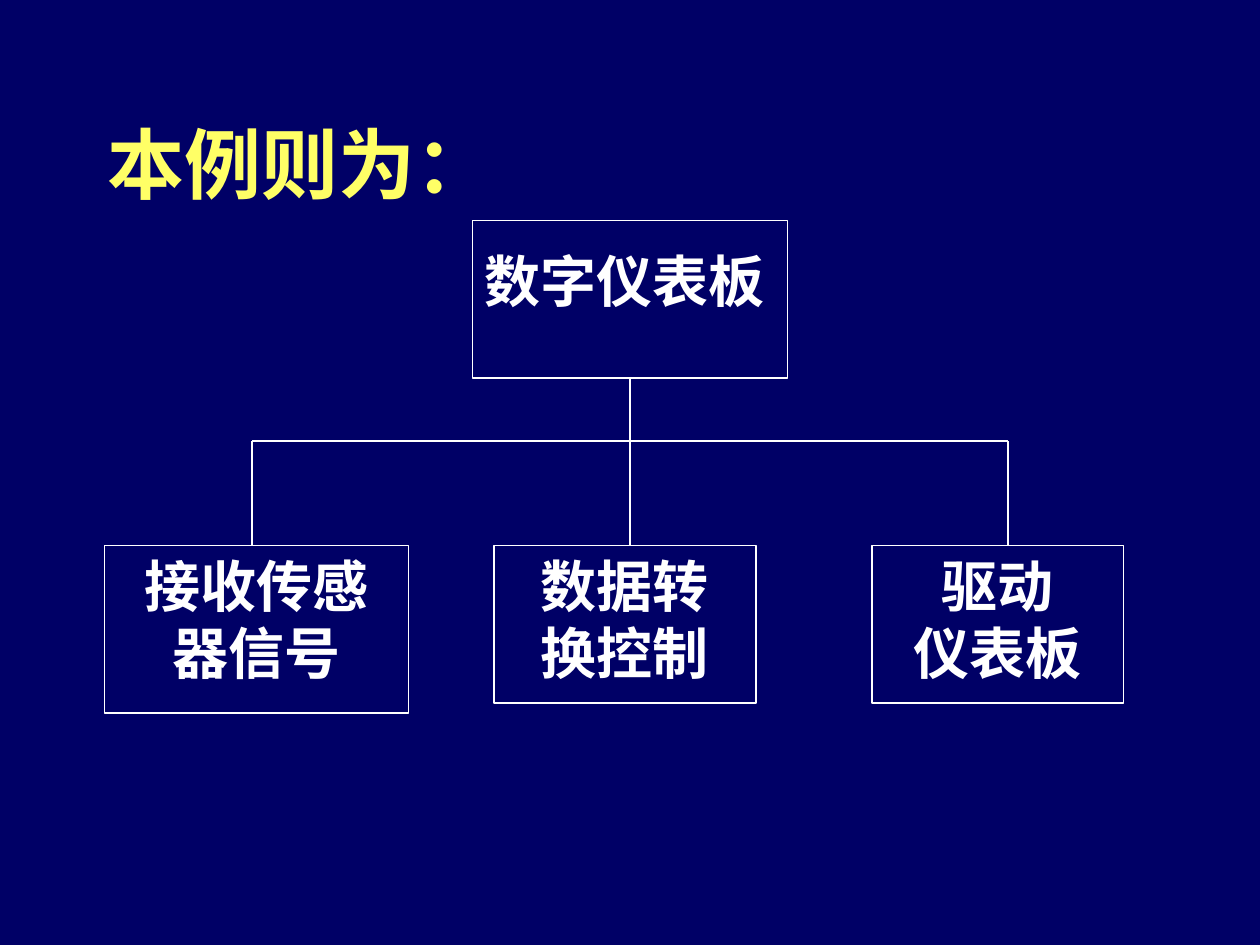
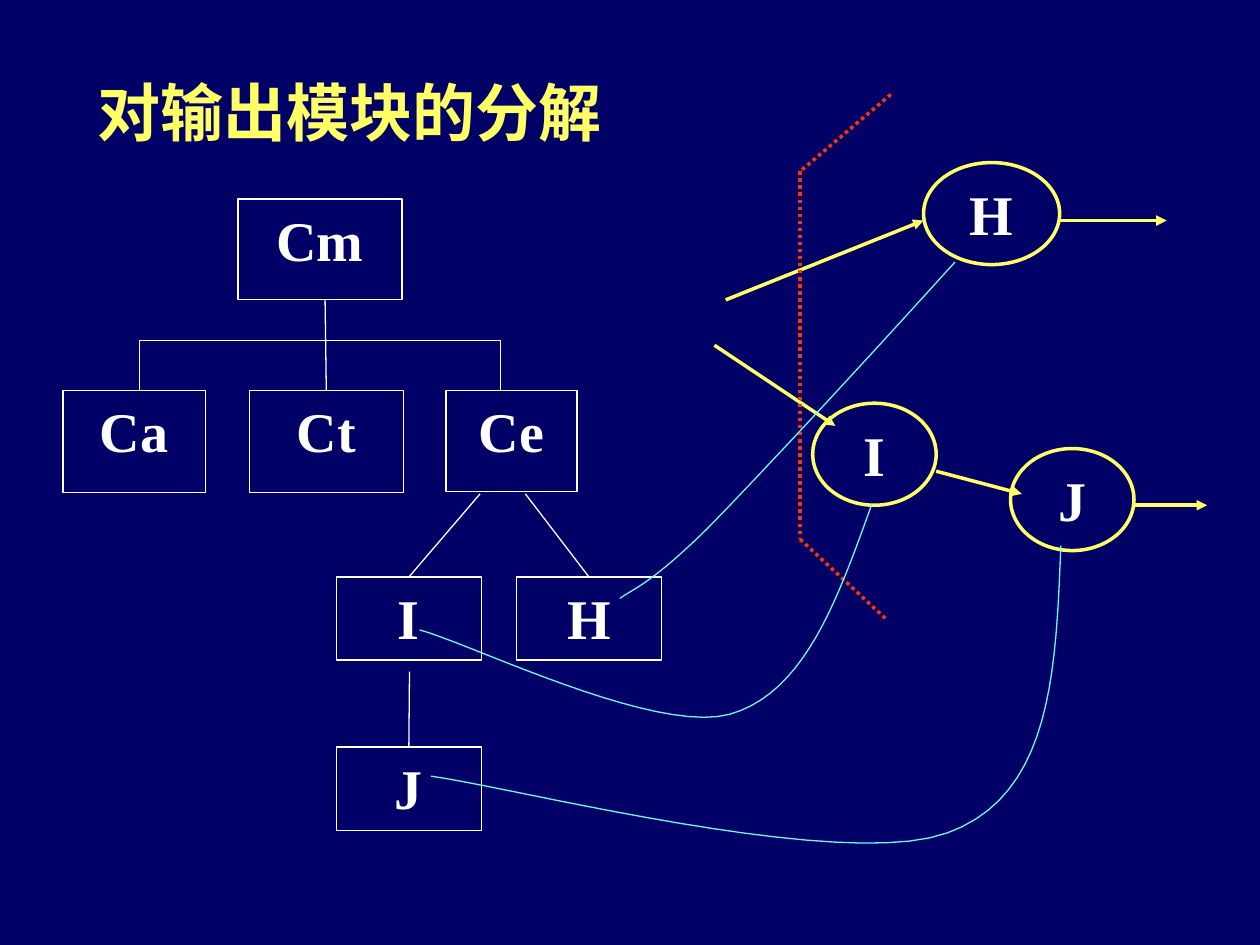
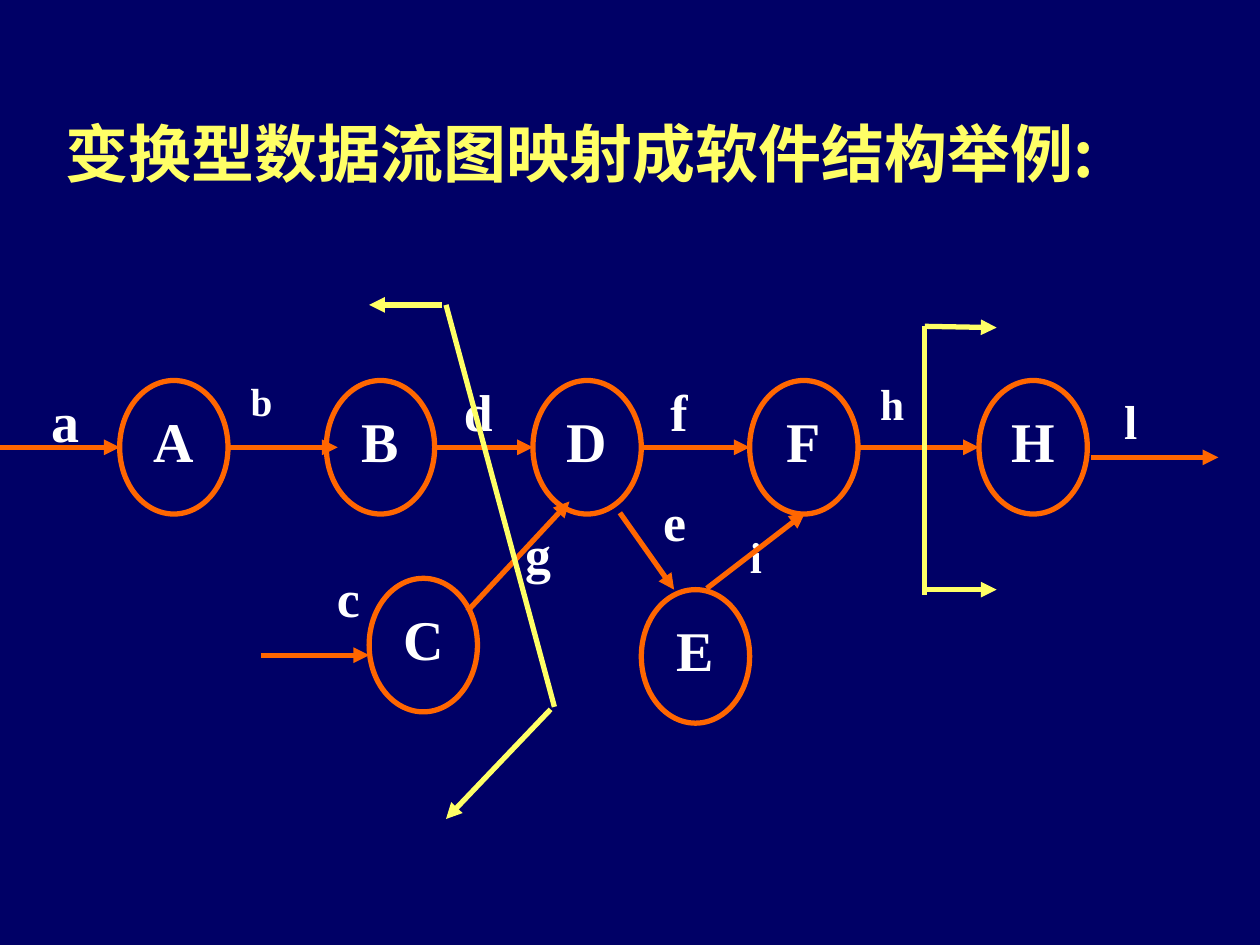
from itertools import pairwise

from lxml import etree
from pptx import Presentation
from pptx.dml.color import RGBColor
from pptx.enum.dml import MSO_LINE
from pptx.enum.shapes import MSO_CONNECTOR, MSO_SHAPE
from pptx.enum.text import MSO_ANCHOR, MSO_AUTO_SIZE, PP_ALIGN
from pptx.oxml.ns import qn
from pptx.util import Emu, Pt

PX = 9144
NAVY = RGBColor(0x00, 0x00, 0x66)
WHITE = RGBColor(0xFF, 0xFF, 0xFF)
YELLOW = RGBColor(0xFF, 0xFF, 0x66)
ORANGE = RGBColor(0xFF, 0x66, 0x00)
RED = RGBColor(0xFF, 0x33, 0x00)
CYAN = RGBColor(0x66, 0xFF, 0xFF)
LATIN = "Times New Roman"
CHINESE = "Noto Sans CJK SC"
RECTANGLE, OVAL = MSO_SHAPE.RECTANGLE, MSO_SHAPE.OVAL
STRAIGHT = MSO_CONNECTOR.STRAIGHT
DOTTED = MSO_LINE.ROUND_DOT
TOP, MIDDLE = MSO_ANCHOR.TOP, MSO_ANCHOR.MIDDLE
LEFT, CENTER, JUSTIFY = PP_ALIGN.LEFT, PP_ALIGN.CENTER, PP_ALIGN.JUSTIFY
NO_AUTOFIT = MSO_AUTO_SIZE.NONE
TOP_SITE, BOTTOM_SITE = 0, 2
CURVE_STEPS = 20


def px(value):
    return Emu(round(value * PX))


def shift(origin, point):
    return origin[0] + point[0], origin[1] + point[1]


def place(origin, area):
    left, top = shift(origin, area[:2])
    return [px(value) for value in (left, top, *area[2:])]


def write(para, text, size, color=WHITE, face=LATIN, align=CENTER, spacing=None):
    para.alignment = align
    if spacing:
        para.line_spacing = spacing
    span = para.add_run()
    span.text = text
    span.font.size = Pt(size)
    span.font.bold = True
    span.font.name = face
    span.font.color.rgb = color
    etree.SubElement(span.font._element, qn("a:ea"), typeface=CHINESE)


def add_page(deck, title, area, size):
    page = deck.slides.add_slide(deck.slide_layouts[5])
    box = page.shapes.title
    box.left, box.top, box.width, box.height = place((0, 0), area)
    frame = box.text_frame
    frame.auto_size = NO_AUTOFIT
    frame.vertical_anchor = MIDDLE
    write(frame.paragraphs[0], title, size, YELLOW, CHINESE, LEFT)
    return page


def add_node(page, origin, area, text, kind=RECTANGLE, color=WHITE, width=0.75,
             align=CENTER, top_inset=5):
    box = page.shapes.add_shape(kind, *place(origin, area))
    box.shadow.inherit = False
    box.fill.background()
    box.line.color.rgb = color
    box.line.width = Pt(width)
    frame = box.text_frame
    frame.word_wrap = True
    frame.vertical_anchor = TOP
    frame.margin_top = px(top_inset)
    for number, line in enumerate(text.split("\n")):
        para = frame.add_paragraph() if number else frame.paragraphs[0]
        write(para, line, 32, align=align)
    return box


def add_line(page, origin, start, finish, color=WHITE, width=0.75, arrow=False, dash=None):
    ends = [px(value) for point in (start, finish) for value in shift(origin, point)]
    line = page.shapes.add_connector(STRAIGHT, *ends)
    line.line.color.rgb = color
    line.line.width = Pt(width)
    if dash:
        line.line.dash_style = dash
    if arrow:
        etree.SubElement(line.line._get_or_add_ln(), qn("a:tailEnd"), type="triangle")
    etree.SubElement(line._element.spPr, qn("a:effectLst"))
    return line


def is_centred(box, x):
    return abs(box.left + box.width / 2 - px(x)) <= px(1)


def add_curve(page, origin, points):
    outline = []
    for first in range(0, len(points) - 1, 3):
        for step in range(CURVE_STEPS + 1):
            t = step / CURVE_STEPS
            weights = ((1 - t) ** 3, 3 * t * (1 - t) ** 2, 3 * t * t * (1 - t), t ** 3)
            corners = points[first:first + 4]
            x, y = (sum(w * corner[axis] for w, corner in zip(weights, corners))
                    for axis in (0, 1))
            outline.append(tuple(px(value) for value in shift(origin, (x, y))))
    builder = page.shapes.build_freeform(*outline[0])
    builder.add_line_segments(outline[1:], close=False)
    curve = builder.convert_to_shape()
    curve.shadow.inherit = False
    curve.fill.background()
    curve.line.color.rgb = CYAN
    curve.line.width = Pt(0.75)


def structure_chart(page, origin, root, children, bus, drops, **root_style):
    *root_area, root_text = root
    parent = add_node(page, origin, root_area, root_text, **root_style)
    root_bottom = root_area[1] + root_area[3]
    add_line(page, origin, (drops[0], bus), (drops[-1], bus))
    for (*area, text), drop in zip(children, drops):
        child = add_node(page, origin, area, text)
        trunk = drop == drops[1]
        line = add_line(page, origin, (drop, root_bottom if trunk else bus), (drop, area[1]))
        x = origin[0] + drop
        if trunk and is_centred(parent, x):
            line.begin_connect(parent, BOTTOM_SITE)
        if is_centred(child, x):
            line.end_connect(child, TOP_SITE)


def output_modules(page, origin):
    branches = (
        ("I", (0, 66), (114, 0), (58, 66)),
        ("J", (0, 201), (58, 141), (58, 201)),
        ("H", (143, 66), (150, 0), (200, 66)),
    )
    for text, corner, start, finish in branches:
        box = add_node(page, origin, (*corner, 115, 66), text)
        add_line(page, origin, start, finish).end_connect(box, TOP_SITE)


def output_flow(page, origin):
    for text, left, top, width in (("H", 166, 54, 108), ("I", 78, 245, 98), ("J", 235, 281, 98)):
        bubble = add_node(page, origin, (left, top, width, 81), text, OVAL, YELLOW, 2)
        bubble.fill.solid()
        bubble.fill.fore_color.rgb = NAVY
        bubble.text_frame.word_wrap = False
        bubble.text_frame.vertical_anchor = MIDDLE
    flows = (
        ((0, 199), (96, 263)),
        ((176, 299), (244, 317)),
        ((9, 163), (166, 100)),
        ((274, 100), (359, 100)),
        ((333, 326), (391, 326)),
    )
    for start, finish in flows:
        add_line(page, origin, start, finish, YELLOW, 2, arrow=True)
    for start, finish in pairwise(((140, 0), (68, 61), (68, 353), (137, 417))):
        add_line(page, origin, start, finish, RED, 2, dash=DOTTED)


def module_links(page, origin):
    curves = (
        ((359, 192), (332, 267), (306, 342), (246, 359), (186, 375), (41, 303), (0, 292)),
        ((509, 225), (505, 324), (502, 423), (419, 453), (335, 484), (75, 417), (9, 408)),
        ((425, 0), (349, 84), (272, 167), (228, 212), (183, 256), (170, 259), (159, 267)),
    )
    for points in curves:
        add_curve(page, origin, points)


def flow_labels(page, origin):
    labels = (
        ("l", 863, 69, 69, 55, 27.2, 0.9),
        ("h", 682, 60, 52, 52, 24.8, 0.8),
        ("i", 570, 182, 60, 52, 24.8, 0.8),
        ("f", 509, 60, 60, 61, 29.6, 0.9),
        ("e", 501, 147, 69, 61, 29.6, 0.9),
        ("g", 397, 173, 60, 61, 29.6, 0.9),
        ("c", 242, 208, 69, 61, 29.6, 0.9),
        ("d", 345, 60, 69, 61, 29.6, 0.9),
        ("b", 173, 60, 69, 49, 22.4, 0.8),
        ("a", 9, 60, 86, 66, 32, None),
    )
    for text, *area, size, spacing in labels:
        frame = page.shapes.add_textbox(*place(origin, area)).text_frame
        frame.word_wrap = True
        write(frame.paragraphs[0], text, size, spacing=spacing)


def transform_flow(page, origin):
    flow_labels(page, origin)
    bubbles = (("A", 95, 60), ("B", 259, 60), ("C", 293, 217), ("E", 509, 226),
               ("D", 423, 60), ("F", 595, 60), ("H", 777, 60))
    for text, left, top in bubbles:
        add_node(page, origin, (left, top, 86, 106), text, OVAL, ORANGE, 3)
    main_row = ((0, 95), (181, 268), (345, 423), (509, 595), (682, 777))
    flows = [((start, 113), (finish, 113)) for start, finish in main_row]
    flows += [
        ((207, 278), (293, 278)),
        ((371, 243), (452, 156)),
        ((492, 165), (535, 226)),
        ((561, 225), (639, 165)),
        ((866, 121), (967, 121)),
    ]
    for start, finish in flows:
        add_line(page, origin, start, finish, ORANGE, 3, arrow=True)
    boundaries = (
        ((351, 0), (293, 0), True),
        ((354, 0), (440, 319), False),
        ((437, 321), (354, 408), True),
        ((734, 17), (791, 18), True),
        ((734, 17), (734, 230), False),
        ((734, 226), (791, 226), True),
    )
    for start, finish, arrow in boundaries:
        add_line(page, origin, start, finish, YELLOW, 3, arrow)


def main():
    deck = Presentation()
    deck.slide_width, deck.slide_height = px(1000), px(750)
    background = deck.slide_master.background.fill
    background.solid()
    background.fore_color.rgb = NAVY

    page = add_page(deck, "本例则为：", (75, 67, 342, 125), 44)
    structure_chart(
        page, (83, 175), (292, 0, 250, 125, "数字仪表板"),
        ((0, 258, 241, 133, "接收传感器信号"),
         (309, 258, 208, 125, "数据转\n换控制"),
         (609, 258, 200, 125, "驱动\n仪表板")),
        175, (117, 417, 717), align=JUSTIFY, top_inset=21)

    page = add_page(deck, "对输出模块的分解", (67, 42, 492, 92), 36)
    structure_chart(
        page, (50, 158), (139, 0, 130, 80, "Cm"),
        ((0, 152, 113, 81, "Ca"), (148, 152, 122, 81, "Ct"), (304, 152, 104, 80, "Ce")),
        112, (61, 208, 347))
    output_flow(page, (567, 75))
    output_modules(page, (267, 392))
    module_links(page, (333, 208))

    page = add_page(deck, "变换型数据流图映射成软件结构举例:", (42, 50, 908, 142), 36)
    transform_flow(page, (0, 242))

    deck.save("out.pptx")


if __name__ == "__main__":
    main()
